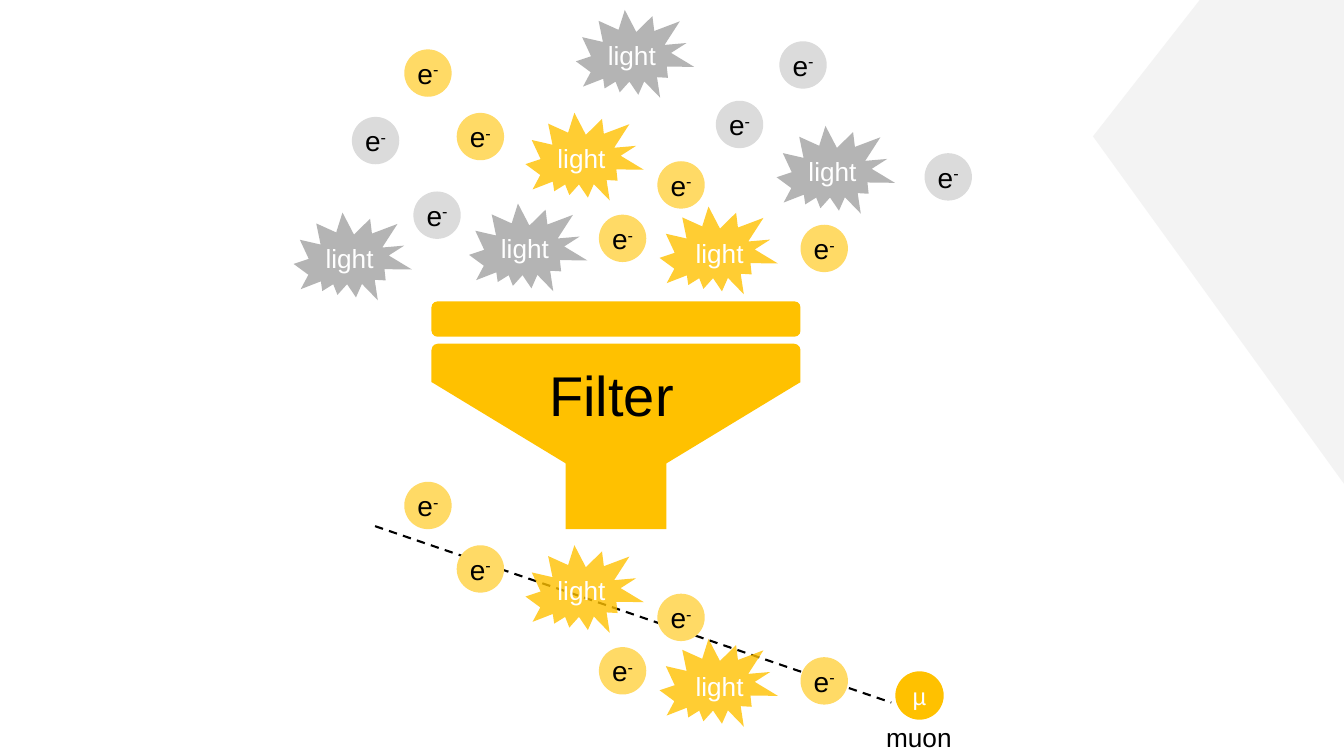
from pptx import Presentation
from pptx.dml.color import RGBColor
from pptx.enum.dml import MSO_LINE
from pptx.enum.shapes import MSO_CONNECTOR, MSO_SHAPE
from pptx.enum.text import MSO_ANCHOR, MSO_AUTO_SIZE, PP_ALIGN
from pptx.oxml.xmlchemy import OxmlElement
from pptx.util import Inches, Pt

TRIANGLE, RECT, OVAL = MSO_SHAPE.ISOSCELES_TRIANGLE, MSO_SHAPE.RECTANGLE, MSO_SHAPE.OVAL
BURST = MSO_SHAPE.EXPLOSION2
ROUNDED, TOP_ROUNDED = MSO_SHAPE.ROUNDED_RECTANGLE, MSO_SHAPE.ROUND_2_SAME_RECTANGLE
STRAIGHT = MSO_CONNECTOR.STRAIGHT
DASH = MSO_LINE.DASH
CENTER, MIDDLE = PP_ALIGN.CENTER, MSO_ANCHOR.MIDDLE
FIT_TEXT = MSO_AUTO_SIZE.SHAPE_TO_FIT_TEXT

COLORS = {
    "amber": "FFC100",
    "pale_amber": "FFDA66",
    "grey": "B4B4B4",
    "pale_grey": "DBDBDB",
    "backdrop": "F3F3F3",
    "black": "000000",
    "white": "FFFFFF",
}
FONT = "Arial"
FILTER_DROP = 4.29  # distance from a kept particle to its place below the funnel

# left, top, label offset from the burst's left and top
KEPT_LIGHT = [(5.25, 1.06, 0.18, 0.3), (6.58, 1.99, 0.22, 0.32)]
BLOCKED_LIGHT = [(4.69, 1.96, 0.18, 0.3), (7.74, 1.19, 0.18, 0.3),
                 (2.95, 2.05, 0.18, 0.3), (5.75, 0.04, 0.18, 0.3)]
# left, top
KEPT_ELECTRONS = [(6.52, 1.6), (5.94, 2.13), (4.53, 1.12), (7.94, 2.23), (4.01, 0.49)]
BLOCKED_ELECTRONS = [(4.1, 1.9), (7.1, 1), (9.17, 1.52), (3.49, 1.16), (7.73, 0.41)]


def rgb(name):
    return RGBColor.from_string(COLORS[name])


def add_run(p, text, size, color):
    r = p.add_run()
    r.text = text
    for name, value in {"name": FONT, "size": Pt(size)}.items():
        setattr(r.font, name, value)
    r.font.color.rgb = rgb(color)
    return r


def add_filled(slide, kind, box, color, rotation=0, opacity=100):
    sp = slide.shapes.add_shape(kind, *map(Inches, box))
    sp.shadow.inherit = False
    sp.fill.solid()
    sp.fill.fore_color.rgb = rgb(color)
    sp.line.fill.background()
    sp.rotation = rotation
    if opacity < 100:
        alpha = OxmlElement("a:alpha")
        alpha.set("val", str(opacity * 1000))
        sp._element.spPr.find(".//{*}srgbClr").append(alpha)
    return sp


def add_label(slide, text, box, size, color):
    tf = slide.shapes.add_textbox(*map(Inches, box)).text_frame
    tf.word_wrap = False
    tf.auto_size = FIT_TEXT
    add_run(tf.paragraphs[0], text, size, color)


def add_particle(slide, left, top, diameter, color):
    """Draw a disc and return its centred paragraph."""
    tf = add_filled(slide, OVAL, (left, top, diameter, diameter), color).text_frame
    margins = dict.fromkeys(
        ("margin_left", "margin_top", "margin_right", "margin_bottom"), 0)
    for name, value in {**margins, "vertical_anchor": MIDDLE}.items():
        setattr(tf, name, value)
    p = tf.paragraphs[0]
    p.alignment = CENTER
    return p


def add_electrons(slide, places, color, drop=0):
    for left, top in places:
        p = add_particle(slide, left, top + drop, 0.47, color)
        add_run(p, "e", 20, "black")
        charge = add_run(p, "-", 20, "black")
        charge._r.get_or_add_rPr().set("baseline", "30000")


def add_light(slide, places, color, opacity=100, drop=0):
    for left, top, dx, dy in places:
        top += drop
        add_filled(slide, BURST, (left, top, 1.11, 1.04), color, 30, opacity)
        add_label(slide, "light", (left + dx, top + dy, 0.68, 0.42), 18.7, "white")


def add_kept(slide, drop=0):
    """Draw the particles that pass the filter."""
    add_light(slide, KEPT_LIGHT, "amber", 80, drop)
    add_electrons(slide, KEPT_ELECTRONS, "pale_amber", drop)


def add_track(slide, start, end):
    cxn = slide.shapes.add_connector(STRAIGHT, *map(Inches, start + end))
    cxn.line.color.rgb = rgb("black")
    for name, value in {"width": Pt(1.5), "dash_style": DASH}.items():
        setattr(cxn.line, name, value)
    cxn._element.spPr.append(OxmlElement("a:effectLst"))


def add_funnel(slide):
    left, width = 4.28, 3.66
    add_filled(slide, TRIANGLE, (left, 3.79, width, 1.11), "amber", 180)
    add_filled(slide, RECT, (5.61, 4.26, 1, 0.99), "amber")
    add_filled(slide, ROUNDED, (left, 2.99, width, 0.35), "amber")
    add_filled(slide, TOP_ROUNDED, (left, 3.41, width, 0.38), "amber")
    add_label(slide, "Filter", (5.35, 3.53, 1.45, 0.77), 40, "black")


def add_muon(slide):
    add_label(slide, "muon", (8.69, 7.11, 0.86, 0.42), 18.7, "black")
    add_run(add_particle(slide, 8.88, 6.66, 0.48, "amber"), "µ", 17, "white")


def main():
    prs = Presentation()
    prs.slide_width, prs.slide_height = Inches(13.33), Inches(7.5)
    slide = prs.slides.add_slide(prs.slide_layouts[6])

    backdrop = add_filled(slide, TRIANGLE, (8.77, 0.24, 6.63, 2.49), "backdrop", 270)
    backdrop.adjustments[0] = 0.52

    add_funnel(slide)
    add_track(slide, (3.72, 5.22), (8.84, 6.97))
    add_kept(slide, FILTER_DROP)
    add_light(slide, BLOCKED_LIGHT, "grey")
    add_electrons(slide, BLOCKED_ELECTRONS, "pale_grey")
    add_kept(slide)
    add_muon(slide)
    prs.save("out.pptx")


if __name__ == "__main__":
    main()
